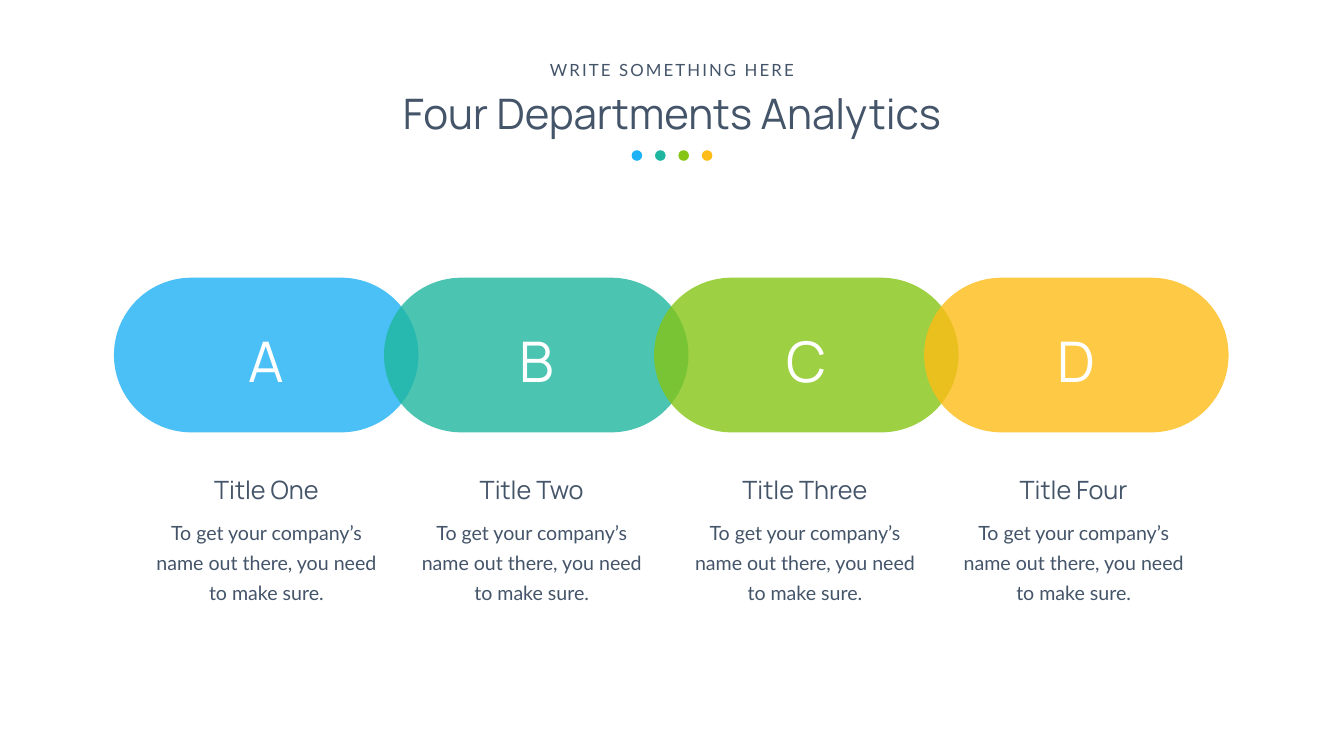
"""Build the four departments analytics slide."""
from dataclasses import dataclass

from lxml.etree import SubElement
from pptx import Presentation
from pptx.dml.color import RGBColor
from pptx.enum.shapes import MSO_SHAPE
from pptx.enum.text import MSO_ANCHOR, MSO_AUTO_SIZE, PP_ALIGN
from pptx.oxml.ns import qn
from pptx.shapes.autoshape import Shape
from pptx.slide import Slide
from pptx.util import Pt

SLATE = RGBColor(0x44, 0x54, 0x69)
WHITE = RGBColor(0xFF, 0xFF, 0xFF)
BLUE = RGBColor(0x1D, 0xB1, 0xF5)
TEAL = RGBColor(0x1F, 0xB6, 0x9F)
GREEN = RGBColor(0x85, 0xC5, 0x15)
AMBER = RGBColor(0xFE, 0xBD, 0x17)

HEADING_FONT = "Manrope"
BODY_FONT = "Lato"
SLIDE_WIDTH, SLIDE_HEIGHT = 1919.5, 1080
SLIDE_CENTER = SLIDE_WIDTH / 2
DOT_SIZE, DOT_PITCH, DOT_TOP = 15.1, 33.4, 214.6
PILL_WIDTH, PILL_HEIGHT, PILL_PITCH, PILL_TOP = 434.9, 221, 385.7, 396.7
PILL_OPACITY = 80
DESCRIPTION = "To get your company’s name out there, you need to make sure."


@dataclass(frozen=True)
class Department:
    letter: str
    heading: str
    color: RGBColor
    caption_center: float


@dataclass(frozen=True)
class TextStyle:
    font: str
    size: float
    color: RGBColor = SLATE
    line_spacing: float | None = None
    tracking: float = 0
    wrap: bool = True


DEPARTMENTS = (
    Department("A", "Title One", BLUE, 380.5),
    Department("B", "Title Two", TEAL, 759.4),
    Department("C", "Title Three", GREEN, 1149.6),
    Department("D", "Title Four", AMBER, 1533.4),
)
TITLE_STYLE = TextStyle(HEADING_FONT, 60)
EYEBROW_STYLE = TextStyle(BODY_FONT, 24, tracking=3, wrap=False)
LETTER_STYLE = TextStyle(HEADING_FONT, 80, WHITE)
HEADING_STYLE = TextStyle(HEADING_FONT, 36)
DESCRIPTION_STYLE = TextStyle(BODY_FONT, 28, line_spacing=43)


def write_text(holder: Shape, text: str, style: TextStyle) -> None:
    """Fill a text holder with one centred, styled run."""
    frame = holder.text_frame
    frame.word_wrap = style.wrap
    frame.auto_size = MSO_AUTO_SIZE.SHAPE_TO_FIT_TEXT
    frame.vertical_anchor = MSO_ANCHOR.MIDDLE
    paragraph = frame.paragraphs[0]
    paragraph.alignment = PP_ALIGN.CENTER
    if style.line_spacing:
        paragraph.line_spacing = Pt(style.line_spacing)
    run = paragraph.add_run()
    run.text = text
    run.font.name = style.font
    run.font.size = Pt(style.size)
    run.font.color.rgb = style.color
    if style.tracking:
        run.font._element.set("spc", str(round(style.tracking * 100)))


def add_label(slide: Slide, text: str, style: TextStyle, center: float,
              top: float, width: float, height: float) -> None:
    """Add a text box centred on a horizontal position."""
    label = slide.shapes.add_textbox(
        Pt(center - width / 2), Pt(top), Pt(width), Pt(height))
    write_text(label, text, style)


def add_filled(slide: Slide, preset: MSO_SHAPE, color: RGBColor, center: float,
               top: float, width: float, height: float) -> Shape:
    """Add a flat preset shape centred on a horizontal position."""
    figure = slide.shapes.add_shape(
        preset, Pt(center - width / 2), Pt(top), Pt(width), Pt(height))
    figure.shadow.inherit = False
    figure.fill.solid()
    figure.fill.fore_color.rgb = color
    figure.line.fill.background()
    return figure


def add_pill(slide: Slide, color: RGBColor, center: float) -> None:
    """Add a translucent, fully rounded pill."""
    pill = add_filled(slide, MSO_SHAPE.ROUNDED_RECTANGLE, color, center,
                      PILL_TOP, PILL_WIDTH, PILL_HEIGHT)
    pill.adjustments[0] = 0.5
    tint = pill._element.spPr.find(f"{qn('a:solidFill')}/{qn('a:srgbClr')}")
    SubElement(tint, qn("a:alpha"), val=str(PILL_OPACITY * 1000))


def add_header(slide: Slide) -> None:
    """Add the title, the line above it and the row of dots."""
    title = slide.shapes.title
    title.left, title.top = Pt(SLIDE_CENTER - 543), Pt(121)
    title.width, title.height = Pt(1086), Pt(80)
    write_text(title, "Four Departments Analytics", TITLE_STYLE)
    add_label(slide, "WRITE SOMETHING HERE", EYEBROW_STYLE,
              SLIDE_CENTER, 81.4, 370, 36)
    for offset, department in zip(centered_offsets(DOT_PITCH), DEPARTMENTS):
        add_filled(slide, MSO_SHAPE.OVAL, department.color,
                   SLIDE_CENTER + offset, DOT_TOP, DOT_SIZE, DOT_SIZE)


def centered_offsets(pitch: float) -> list[float]:
    """Return evenly spaced offsets around zero, one per department."""
    middle = (len(DEPARTMENTS) - 1) / 2
    return [(index - middle) * pitch for index in range(len(DEPARTMENTS))]


def main() -> None:
    """Create and save the presentation."""
    presentation = Presentation()
    presentation.slide_width = Pt(SLIDE_WIDTH)
    presentation.slide_height = Pt(SLIDE_HEIGHT)
    slide = presentation.slides.add_slide(presentation.slide_layouts[5])
    add_header(slide)
    pill_centers = [SLIDE_CENTER - 1 + offset
                    for offset in centered_offsets(PILL_PITCH)]
    for center, department in zip(pill_centers, DEPARTMENTS):
        add_pill(slide, department.color, center)
    for center, department in zip(pill_centers, DEPARTMENTS):
        add_label(slide, department.letter, LETTER_STYLE,
                  center, 461.5, 180, 104.4)
    for department in DEPARTMENTS:
        add_label(slide, DESCRIPTION, DESCRIPTION_STYLE,
                  department.caption_center, 732.2, 333.4, 133.2)
        add_label(slide, department.heading, HEADING_STYLE,
                  department.caption_center, 673.9, 374.4, 51.1)
    presentation.save("out.pptx")


if __name__ == "__main__":
    main()
